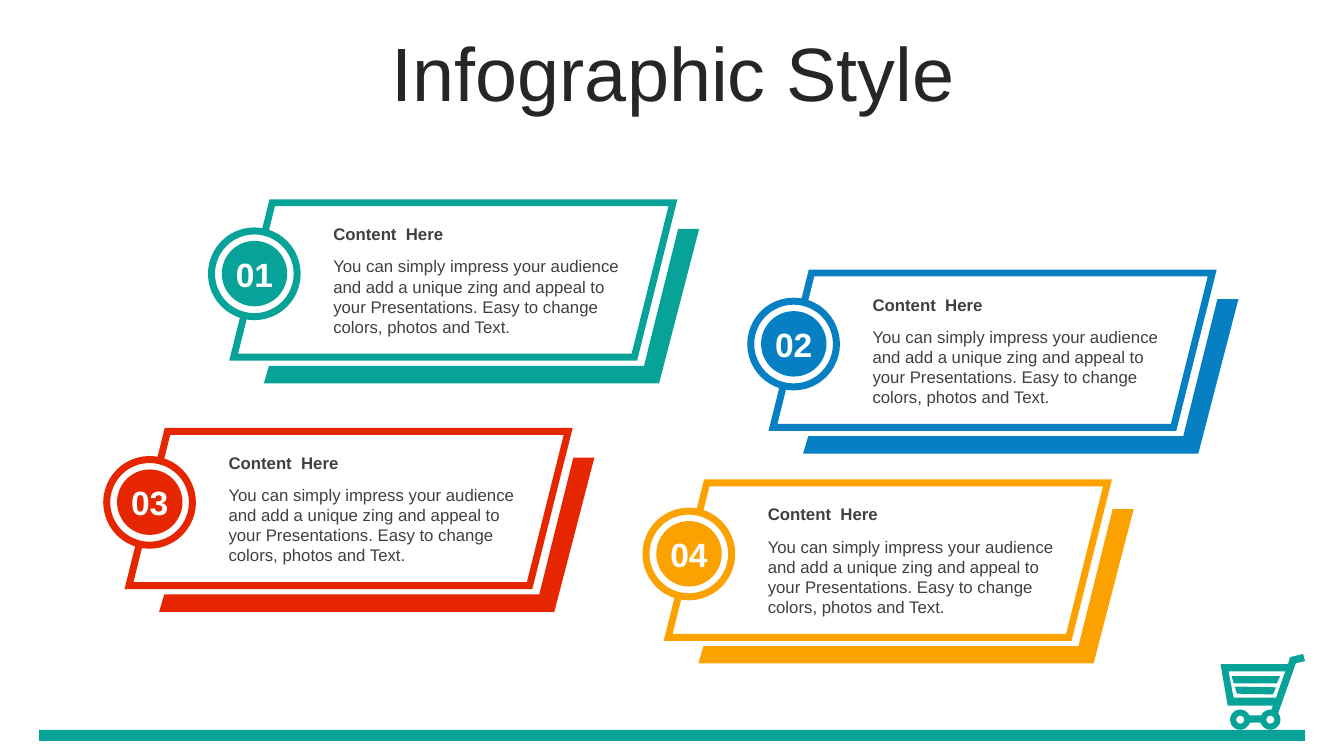
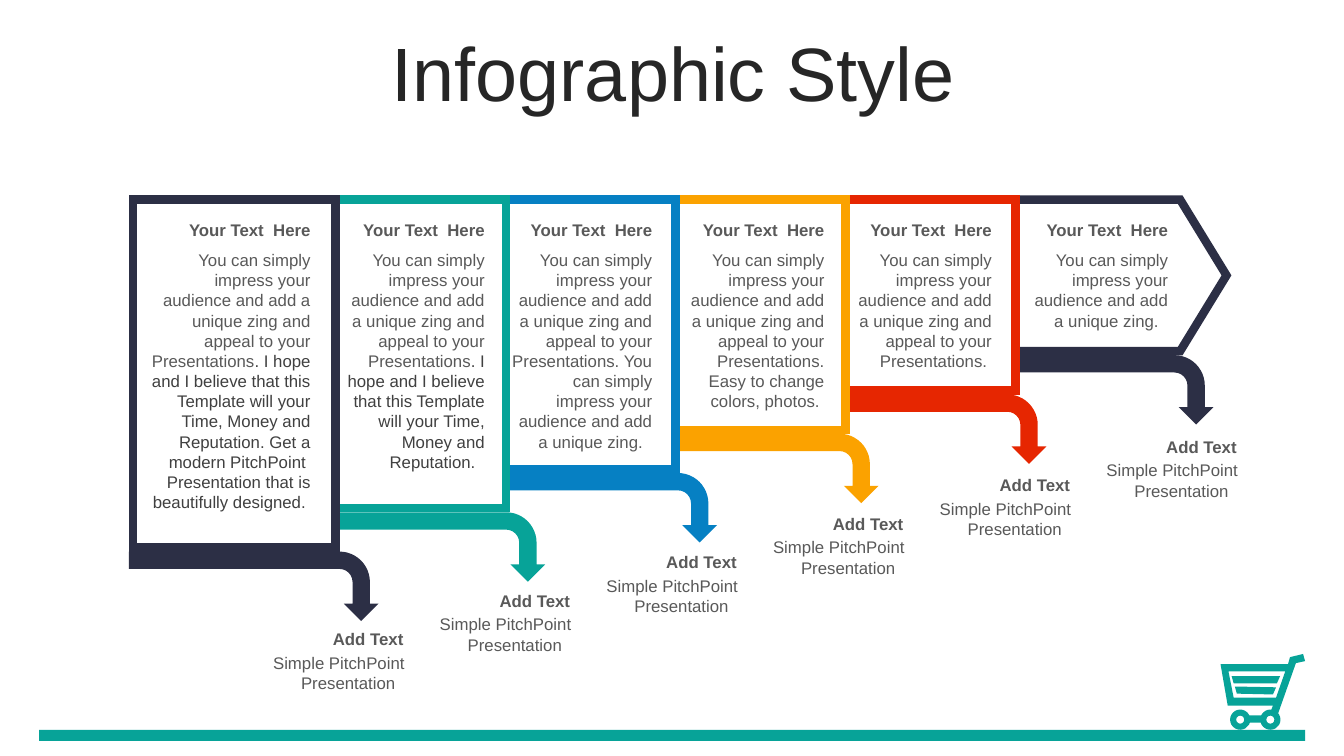
from pptx import Presentation
from pptx.dml.color import RGBColor
from pptx.enum.shapes import MSO_SHAPE as SHAPE
from pptx.enum.text import MSO_ANCHOR as ANCHOR, MSO_AUTO_SIZE as FIT, PP_ALIGN as ALIGN
from pptx.oxml.ns import qn
from pptx.util import Cm, Pt
from lxml.etree import SubElement

TEAL, BLUE, RED, ORANGE, NAVY = "07A398", "0680C3", "E62601", "FBA200", "2C2F45"
WHITE, TITLE_INK, DARK, GREY = "FFFFFF", "262626", "404040", "595959"
FONT = "Arial"
TITLE = "Infographic Style"

CART = [
    [(32.84, 16.48), (32.51, 16.56), (32.46, 16.74), (30.76, 16.74), (30.94, 17.78),
     (32.08, 17.78), (32.03, 17.91), (32.21, 17.98), (32.66, 16.71), (32.89, 16.66)],
    [(32.39, 16.92), (32.16, 17.58), (31.09, 17.58), (30.96, 16.92)],
    [(31.12, 17.3), (31.17, 17.48), (32.08, 17.5), (32.16, 17.32)],
    [(31.04, 17.04), (31.09, 17.22), (32.18, 17.22), (32.26, 17.04)],
    [(31.47, 18.03), (31.8, 18.03), (31.8, 18.21), (31.47, 18.21)],
]
WHEELS = [31.0, 31.76]

CARD_HEAD = "Content  Here"
CARD_TEXT = ("You can simply impress your audience and add a unique zing and appeal to "
             "your Presentations. Easy to change colors, photos and Text.")
CARDS = [
    ("01", TEAL, 5.89, 5.11),
    ("02", BLUE, 19.48, 6.88),
    ("03", RED, 3.25, 10.87),
    ("04", ORANGE, 16.84, 12.17),
]
CARD_EDGE = [(11.2, 0.66), (11.73, 0.66), (10.72, 4.55), (0.76, 4.55), (0.89, 4.11), (10.34, 4.11)]

STEP_HEAD = "Your Text  Here"
ZING = "You can simply impress your audience and add a unique zing"
LEAD = ZING + " and appeal to your Presentations"
HOPE = ". I hope and I believe that this Template will your Time, Money and Reputation. "
STEPS = [
    (NAVY, 3.53, 4.55, 9.54, LEAD,
     HOPE + "Get a modern PitchPoint  Presentation that is beautifully designed.   "),
    (TEAL, 8.41, 4.06, 13.74, LEAD, HOPE + " "),
    (BLUE, 12.65, 4.04, 18.07, LEAD + ". " + ZING + ".  ", ""),
    (ORANGE, 16.92, 4.11, 22.14, LEAD + ". Easy to change colors, photos. ", ""),
    (RED, 21.26, 3.99, 26.37, LEAD + ". ", ""),
    (NAVY, 25.65, 4.04, 30.58, ZING + ".  ", ""),
]
NOTE_HEAD, NOTE_TEXT = "Add Text", "Simple PitchPoint Presentation  "
STEP_TOP, STEP_BOTTOM, STEP_RISE = 5.03, 13.8, 0.99
STEP_PITCH, STEP_W = 4.28, 5.51
ARROW_DEPTH = 1.75


def rgb(code):
    return RGBColor.from_string(code)


def style(s, fill, line=None, width=0):
    s.shadow.inherit = False
    s.fill.solid()
    s.fill.fore_color.rgb = rgb(fill)
    if line:
        s.line.color.rgb = rgb(line)
        s.line.width = Pt(width)
        SubElement(s.line.fill._xPr, qn("a:miter"), lim="800000")
    else:
        s.line.fill.background()
    return s


def shape(sl, kind, x, y, w, h, fill, line=None, width=0):
    return style(sl.shapes.add_shape(kind, Cm(x), Cm(y), Cm(w), Cm(h)), fill, line, width)


def outline(sl, contours, fill, dx=0, dy=0):
    builder = None
    for contour in contours:
        pts = [(Cm(x + dx), Cm(y + dy)) for x, y in contour]
        if builder is None:
            builder = sl.shapes.build_freeform(*pts[0], scale=1.0)
        else:
            builder.move_to(*pts[0])
        builder.add_line_segments(pts[1:], close=True)
    return style(builder.convert_to_shape(), fill)


def write(tf, runs, size=12, bold=False, align=ALIGN.LEFT, **frame):
    for key, value in {"word_wrap": True, "auto_size": FIT.NONE, **frame}.items():
        setattr(tf, key, value)
    p = tf.paragraphs[0]
    p.alignment = align
    for text, color in runs:
        r = p.add_run()
        r.text = text
        for key, value in {"name": FONT, "size": Pt(size), "bold": bold}.items():
            setattr(r.font, key, value)
        r.font.color.rgb = rgb(color)
    return p


def text(sl, x, y, w, h, runs, **fmt):
    s = sl.shapes.add_textbox(Cm(x), Cm(y), Cm(w), Cm(h))
    write(s.text_frame, runs, **fmt)


def new_slide(prs):
    sl = prs.slides.add_slide(prs.slide_layouts[5])
    s = sl.shapes.title
    box = {"left": 0.89, "top": 0.94, "width": 32.16, "height": 2.01}
    for key, value in box.items():
        setattr(s, key, Cm(value))
    p = write(s.text_frame, [(TITLE, TITLE_INK)], size=54, align=ALIGN.CENTER,
              vertical_anchor=ANCHOR.MIDDLE)
    p.line_spacing, p.space_before = 0.9, Pt(10)
    outline(sl, CART, TEAL)
    for x in WHEELS:
        wheel = shape(sl, SHAPE.DONUT, x, 17.88, 0.51, 0.51, TEAL)
        wheel.adjustments[0] = 0.3
    shape(sl, SHAPE.RECTANGLE, 0.99, 18.39, 31.9, 0.28, TEAL)
    return sl


def card(sl, number, color, x, y):
    shape(sl, SHAPE.PARALLELOGRAM, x, y, 11.07, 3.89, WHITE, color, 5)
    outline(sl, [CARD_EDGE], color, x, y)
    text(sl, x + 2.26, y + 0.41, 7.82, 0.76, [(CARD_HEAD, DARK)], bold=True)
    text(sl, x + 2.26, y + 1.22, 7.82, 2.31, [(CARD_TEXT, DARK)])
    shape(sl, SHAPE.OVAL, x - 0.56, y + 0.71, 2.16, 2.16, WHITE, color, 5)
    disc = shape(sl, SHAPE.OVAL, x - 0.3, y + 0.96, 1.65, 1.65, color)
    write(disc.text_frame, [(number, WHITE)], size=24, bold=True, align=ALIGN.CENTER,
          vertical_anchor=ANCHOR.MIDDLE, margin_left=0, margin_right=0,
          margin_top=0, margin_bottom=0)


def turn_arrow(sl, left, right, top, color):
    length = right - left
    x = (left + right - ARROW_DEPTH) / 2
    y = top + (ARROW_DEPTH - length) / 2
    s = shape(sl, SHAPE.BENT_ARROW, x, y, ARROW_DEPTH, length, color)
    s.rotation = 90


def step_box(i):
    if i == 0:
        return 3.35, 5.11
    if i == len(STEPS) - 1:
        return 24.99, 5.92
    return 7.24 + STEP_PITCH * (i - 1), STEP_W


def step_panel(sl, i, color):
    x, w = step_box(i)
    last = i == len(STEPS) - 1
    kind = SHAPE.PENTAGON if last else SHAPE.RECTANGLE
    h = STEP_BOTTOM - STEP_RISE * i - STEP_TOP
    s = shape(sl, kind, x, STEP_TOP, w, h, WHITE, color, 6)
    if last:
        s.adjustments[0] = 0.306


def step_texts(sl, i, x, w, lead, rest):
    fmt = {"align": ALIGN.RIGHT}
    runs = [(lead, GREY)] + ([(rest, DARK)] if rest else [])
    text(sl, x, 5.41, w, 0.76, [(STEP_HEAD, GREY)], bold=True, **fmt)
    text(sl, x, 6.17, w, 6.93 - STEP_RISE * i, runs, **fmt)
    note_x, note_y = 5.72 + 4.2 * i, 15.72 - 0.97 * i
    text(sl, note_x, note_y, 4.7, 0.76, [(NOTE_HEAD, GREY)], bold=True, **fmt)
    text(sl, note_x + 0.03, note_y + 0.6, 4.7, 1.27, [(NOTE_TEXT, GREY)], **fmt)


def steps_slide(prs):
    sl = new_slide(prs)
    for i, (color, _, _, right, _, _) in enumerate(STEPS):
        left = sum(step_box(i - 1)) if i else 3.25
        turn_arrow(sl, left, right, STEP_BOTTOM + 0.1 - STEP_RISE * i, color)
    for i in reversed(range(len(STEPS))):
        step_panel(sl, i, STEPS[i][0])
    for i, (_, x, w, _, lead, rest) in enumerate(STEPS):
        step_texts(sl, i, x, w, lead, rest)


def main():
    prs = Presentation()
    prs.slide_width, prs.slide_height = Cm(33.87), Cm(19.05)
    sl = new_slide(prs)
    for item in CARDS:
        card(sl, *item)
    steps_slide(prs)
    prs.save("out.pptx")


if __name__ == "__main__":
    main()
